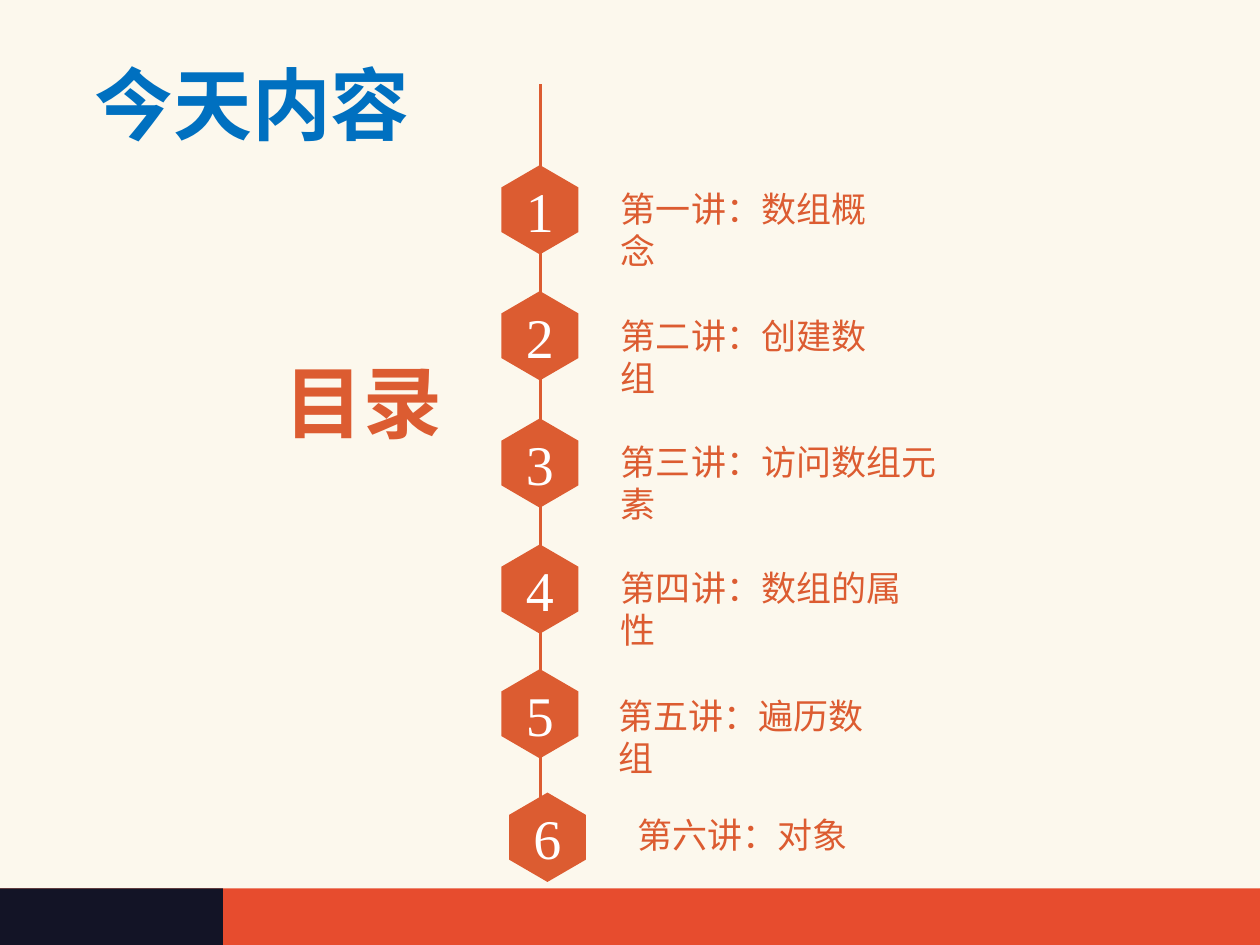
import pptx
import pptx.util
import pptx.dml.color
import pptx.enum.shapes
import pptx.enum.text
import pptx.oxml.ns
import lxml.etree

Inches = pptx.util.Inches
Pt = pptx.util.Pt
RGBColor = pptx.dml.color.RGBColor
PP_ALIGN = pptx.enum.text.PP_ALIGN
MSO_ANCHOR = pptx.enum.text.MSO_ANCHOR
qn = pptx.oxml.ns.qn

CREAM = RGBColor(0xFC, 0xF8, 0xED)
RED = RGBColor(0xE7, 0x4C, 0x2E)
NAVY = RGBColor(0x13, 0x14, 0x26)
ORANGE = RGBColor(0xDC, 0x5C, 0x31)
BLUE = RGBColor(0x00, 0x70, 0xC0)
WHITE = RGBColor(0xFF, 0xFF, 0xFF)

# Content
TITLE = "今天内容"
HEADING = "目录"
# label, hexagon left and top, label left, top and width
LECTURES = [
    ("第一讲：数组概念", 3.98, 1.31, 4.83, 1.44, 2.4),
    ("第二讲：创建数组", 3.98, 2.31, 4.83, 2.45, 2.4),
    ("第三讲：访问数组元素", 3.98, 3.32, 4.83, 3.45, 2.95),
    ("第四讲：数组的属性", 3.98, 4.32, 4.83, 4.45, 2.68),
    ("第五讲：遍历数组", 3.98, 5.31, 4.81, 5.46, 2.4),
    ("第六讲：对象", 4.04, 6.29, 4.96, 6.41, 1.9),
]
BARS = [(0, 10, RED), (0, 1.77, NAVY)]  # left, width, colour
HEXAGON_WIDTH, HEXAGON_HEIGHT = 0.61, 0.71

# Text formats
CHINESE = "Noto Sans CJK SC"
LARGE = {"size": Pt(45), "bold": True, "name": CHINESE}
LABEL = {"size": Pt(20), "bold": False, "name": CHINESE}
NUMBER = {"size": Pt(32), "bold": False, "name": "Times New Roman"}


def write(shape, text, formats, color, align=PP_ALIGN.LEFT, anchor=MSO_ANCHOR.TOP):
    frame = shape.text_frame
    frame_formats = {"word_wrap": True, "vertical_anchor": anchor,
                     "auto_size": pptx.enum.text.MSO_AUTO_SIZE.NONE}
    for name, value in frame_formats.items():
        setattr(frame, name, value)
    paragraph = frame.paragraphs[0]
    paragraph.alignment = align
    run = paragraph.add_run()
    run.text = text
    for name, value in formats.items():
        setattr(run.font, name, value)
    run.font.color.rgb = color
    # East Asian characters take their font from a:ea
    east_asian = lxml.etree.SubElement(run.font._element, qn("a:ea"))
    east_asian.set("typeface", formats["name"])


def fill_plain(shape, color):
    shape.shadow.inherit = False
    shape.fill.solid()
    shape.fill.fore_color.rgb = color
    shape.line.fill.background()


def add_text(slide, box, *text_options):
    write(slide.shapes.add_textbox(*map(Inches, box)), *text_options)


def add_hexagon(slide, left, top):
    middle, right = left + HEXAGON_WIDTH / 2, left + HEXAGON_WIDTH
    bottom = top + HEXAGON_HEIGHT
    upper, lower = top + HEXAGON_HEIGHT / 4, bottom - HEXAGON_HEIGHT / 4
    corners = [(middle, top), (right, upper), (right, lower),
               (middle, bottom), (left, lower), (left, upper)]
    points = [(Inches(x), Inches(y)) for x, y in corners]
    builder = slide.shapes.build_freeform(*points[0])
    builder.add_line_segments(points[1:], close=True)
    hexagon = builder.convert_to_shape()
    fill_plain(hexagon, ORANGE)
    return hexagon


def main():
    presentation = pptx.Presentation()
    presentation.slide_width, presentation.slide_height = Inches(10), Inches(7.5)
    slide = presentation.slides.add_slide(presentation.slide_layouts[5])

    # Background and bottom bars
    slide.background.fill.solid()
    slide.background.fill.fore_color.rgb = CREAM
    for left, width, color in BARS:
        bar = slide.shapes.add_shape(
            pptx.enum.shapes.MSO_SHAPE.RECTANGLE,
            Inches(left), Inches(7.05), Inches(width), Inches(0.45))
        fill_plain(bar, color)

    # Title and heading
    title = slide.shapes.title
    title_box = {"left": 0.65, "top": 0.39, "width": 2.75, "height": 0.9}
    for name, value in title_box.items():
        setattr(title, name, Inches(value))
    write(title, TITLE, LARGE, BLUE)
    add_text(slide, (2.16, 2.76, 1.5, 0.86), HEADING, LARGE, ORANGE)

    # Timeline
    timeline = slide.shapes.add_connector(
        pptx.enum.shapes.MSO_CONNECTOR.STRAIGHT,
        Inches(4.29), Inches(0.67), Inches(4.29), Inches(6.35))
    timeline.line.color.rgb = ORANGE
    timeline.line.width = Pt(1.5)
    lxml.etree.SubElement(timeline._element.spPr, qn("a:effectLst"))

    # Numbered lectures
    for number, lecture in enumerate(LECTURES, 1):
        label, hexagon_left, hexagon_top, left, top, width = lecture
        hexagon = add_hexagon(slide, hexagon_left, hexagon_top)
        write(hexagon, str(number), NUMBER, WHITE, PP_ALIGN.CENTER, MSO_ANCHOR.MIDDLE)
        add_text(slide, (left, top, width, 0.46), label, LABEL, ORANGE)

    presentation.save("out.pptx")


if __name__ == "__main__":
    main()
